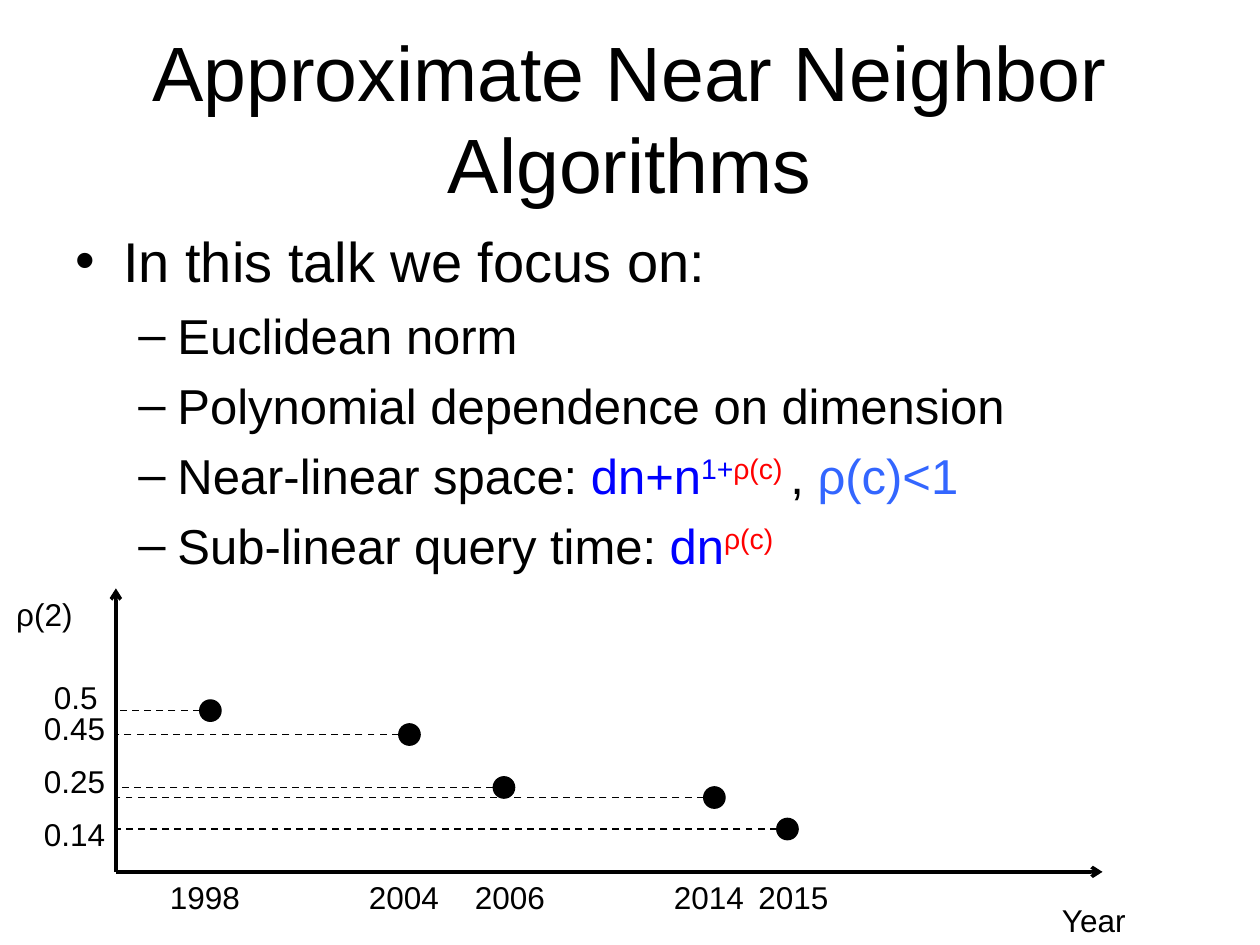
from lxml.etree import SubElement
from pptx import Presentation
from pptx.dml.color import RGBColor
from pptx.enum.dml import MSO_LINE
from pptx.enum.shapes import MSO_CONNECTOR, MSO_SHAPE
from pptx.enum.text import MSO_ANCHOR, PP_ALIGN
from pptx.oxml.ns import qn
from pptx.util import Inches, Pt

BLACK = RGBColor(0x00, 0x00, 0x00)
BLUE = RGBColor(0x00, 0x00, 0xFF)
LIGHT_BLUE = RGBColor(0x33, 0x66, 0xFF)
RED = RGBColor(0xFF, 0x00, 0x00)
FONT = "Arial"

TITLE = "Approximate Near Neighbor Algorithms"
# Each bullet: level, then runs of (text, colour, is superscript)
BULLETS = [
    (0, [("In this talk we focus on:", BLACK, False)]),
    (1, [("Euclidean norm", BLACK, False)]),
    (1, [("Polynomial dependence on dimension", BLACK, False)]),
    (1, [("Near-linear space: ", BLACK, False), ("dn+n", BLUE, False),
         ("1+", BLUE, True), ("ρ(c) ", RED, True),
         (", ", BLACK, False), ("ρ(c)<1", LIGHT_BLUE, False)]),
    (1, [("Sub-linear query time: ", BLACK, False), ("dn", BLUE, False),
         ("ρ(c)", RED, True)]),
]
# Level: bullet sign, size in points, left margin, hanging indent
LEVELS = {0: ("•", 32, 0.38, 0.38), 1: ("–", 28, 0.81, 0.31)}

# Year, year label left, dot centre x and y, rho, rho label left and top
RESULTS = [
    ("1998", 1.25, 1.67, 5.64, "0.5", 0.33, 5.33),
    ("2004", 2.83, 3.25, 5.83, "0.45", 0.25, 5.58),
    ("2006", 3.67, 4.00, 6.25, "0.25", 0.25, 6.00),
    ("2014", 5.25, 5.67, 6.33, None, None, None),
    ("2015", 5.92, 6.25, 6.58, "0.14", 0.25, 6.42),
]
ORIGIN_X, ORIGIN_Y = 0.92, 6.92
AXIS_RIGHT, AXIS_TOP = 8.75, 4.67
DOT = 0.17
LABEL_HEIGHT = 0.4


def add_text_frame(slide, left, top, width, height, wrap=True):
    box = slide.shapes.add_textbox(*map(Inches, (left, top, width, height)))
    box.text_frame.word_wrap = wrap
    return box.text_frame


def add_run(paragraph, text, size, color=BLACK, superscript=False):
    run = paragraph.add_run()
    run.text = text
    for name, value in {"name": FONT, "size": Pt(size)}.items():
        setattr(run.font, name, value)
    run.font.color.rgb = color
    if superscript:
        run.font._element.set("baseline", "30000")


def add_label(slide, text, left, top, width):
    frame = add_text_frame(slide, left, top, width, LABEL_HEIGHT, wrap=False)
    add_run(frame.paragraphs[0], text, 18)


def add_line(slide, start, end, width, dashed=False, arrow=False):
    line = slide.shapes.add_connector(
        MSO_CONNECTOR.STRAIGHT, *map(Inches, (*start, *end)))
    line.line.color.rgb = BLACK
    line.line.width = Pt(width)
    if dashed:
        line.line.dash_style = MSO_LINE.DASH
    if arrow:
        SubElement(line.line._get_or_add_ln(), qn("a:tailEnd"), type="arrow")
    SubElement(line._element.spPr, qn("a:effectLst"))


def add_dot(slide, x, y):
    dot = slide.shapes.add_shape(
        MSO_SHAPE.OVAL, *map(Inches, (x - DOT / 2, y - DOT / 2, DOT, DOT)))
    dot.shadow.inherit = False
    dot.fill.solid()
    dot.fill.fore_color.rgb = BLACK
    dot.line.color.rgb = BLACK


def add_title(slide):
    frame = add_text_frame(slide, 0.5, 0.3, 9, 1.25)
    frame.vertical_anchor = MSO_ANCHOR.MIDDLE
    frame.paragraphs[0].alignment = PP_ALIGN.CENTER
    add_run(frame.paragraphs[0], TITLE, 44)


def add_bullets(slide):
    frame = add_text_frame(slide, 0.5, 1.75, 9.08, 3.08)
    for index, (level, runs) in enumerate(BULLETS):
        sign, size, margin, hanging = LEVELS[level]
        paragraph = frame.add_paragraph() if index else frame.paragraphs[0]
        paragraph.level = level
        paragraph.space_before = Pt(size * 0.23)
        properties = paragraph._p.get_or_add_pPr()
        properties.set("marL", str(Inches(margin)))
        properties.set("indent", str(-Inches(hanging)))
        SubElement(properties, qn("a:buFont"), typeface=FONT)
        SubElement(properties, qn("a:buChar"), char=sign)
        for text, color, superscript in runs:
            add_run(paragraph, text, size, color, superscript)


def add_timeline(slide):
    origin = (ORIGIN_X, ORIGIN_Y)
    for end in ((AXIS_RIGHT, ORIGIN_Y), (ORIGIN_X, AXIS_TOP)):
        add_line(slide, origin, end, 2, arrow=True)
    add_label(slide, "ρ(2)", 0.03, AXIS_TOP, 0.75)
    add_label(slide, "Year", 8.33, 7.1, 0.71)
    for year, year_left, x, y, rho, rho_left, rho_top in RESULTS:
        add_line(slide, (x - DOT / 2, y), (ORIGIN_X, y), 1, dashed=True)
        add_dot(slide, x, y)
        add_label(slide, year, year_left, ORIGIN_Y, 0.76)
        if rho:
            add_label(slide, rho, rho_left, rho_top, 0.55 if len(rho) == 3 else 0.69)


def main():
    presentation = Presentation()
    presentation.slide_width = Inches(10)
    presentation.slide_height = Inches(7.5)
    slide = presentation.slides.add_slide(presentation.slide_layouts[6])
    add_title(slide)
    add_bullets(slide)
    add_timeline(slide)
    presentation.save("out.pptx")


if __name__ == "__main__":
    main()
